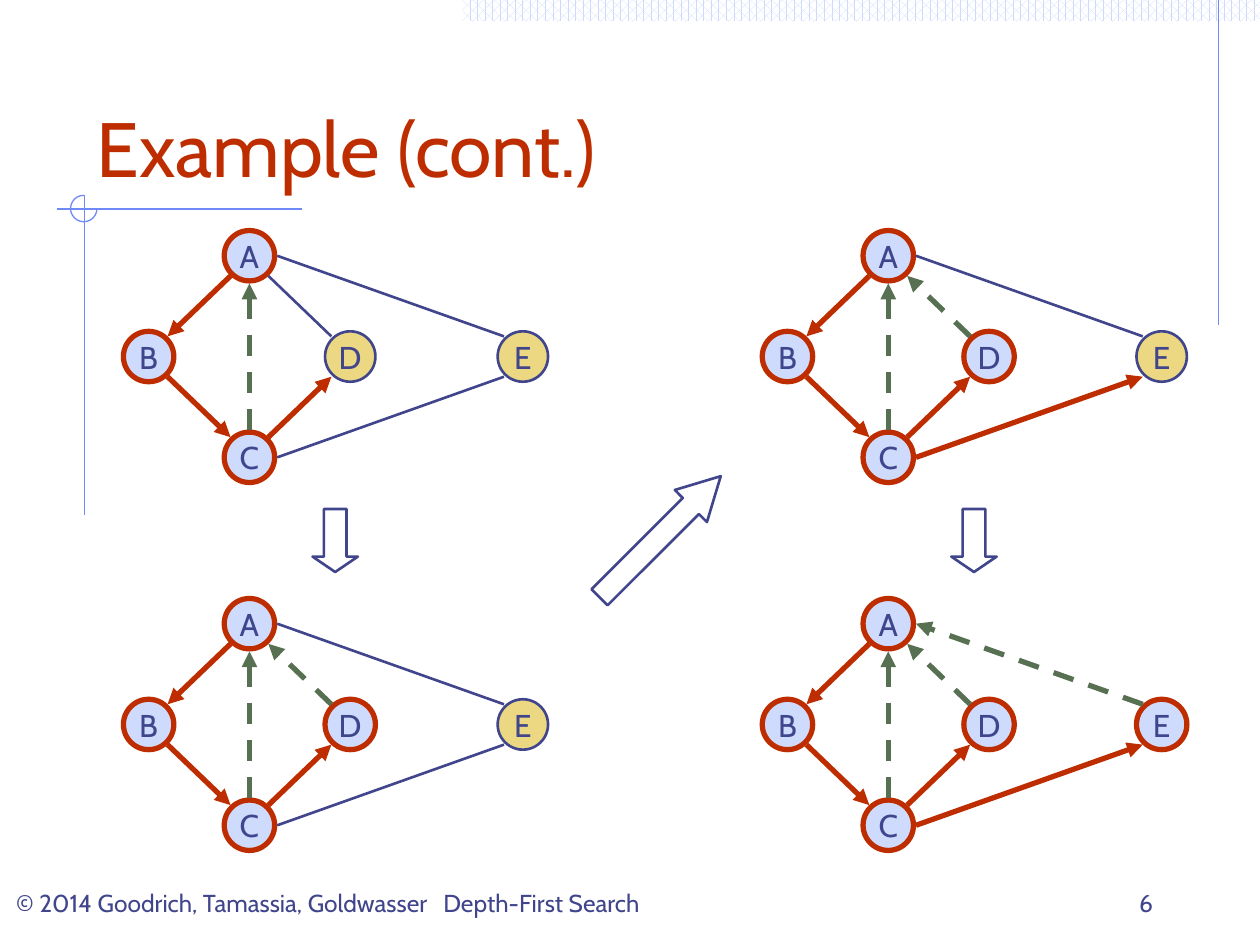
from lxml import etree
from pptx import Presentation
from pptx.dml.color import RGBColor
from pptx.enum.dml import MSO_LINE, MSO_PATTERN
from pptx.enum.shapes import MSO_CONNECTOR, MSO_SHAPE
from pptx.enum.text import MSO_ANCHOR, PP_ALIGN
from pptx.oxml.ns import qn
from pptx.util import Inches, Pt

FONT = "Cabin"
RED = RGBColor(0xBE, 0x2D, 0x00)
NAVY = RGBColor(0x40, 0x45, 0x8C)
GREEN = RGBColor(0x57, 0x70, 0x52)
YELLOW = RGBColor(0xEC, 0xD8, 0x82)
PALE = RGBColor(0xCF, 0xDB, 0xFD)
BLUE = RGBColor(0x6F, 0x89, 0xF7)
WHITE = RGBColor(0xFF, 0xFF, 0xFF)

LEFT, CENTER, RIGHT = PP_ALIGN.LEFT, PP_ALIGN.CENTER, PP_ALIGN.RIGHT
BOTTOM, MIDDLE, TOP = MSO_ANCHOR.BOTTOM, MSO_ANCHOR.MIDDLE, MSO_ANCHOR.TOP
STRAIGHT = MSO_CONNECTOR.STRAIGHT

TEXTS = [
    ("© 2014 Goodrich, Tamassia, Goldwasser", (0.03, 7, 3.72, 0.34), 14, NAVY, LEFT, TOP, True),
    ("Depth-First Search", (3.42, 6.83, 3.17, 0.5), 14, NAVY, LEFT, BOTTOM, True),
    ("6", (7.17, 6.83, 2.08, 0.5), 14, NAVY, RIGHT, BOTTOM, True),
    ("Example (cont.)", (0.67, 0.33, 8.5, 1.25), 44, RED, LEFT, BOTTOM, True),
]
RULES = [(9.67, 0, 9.67, 2.58), (2.4, 1.66, 0.45, 1.66), (0.67, 1.55, 0.67, 4.09)]

NODE_SIZE = 0.4
NODES = {"A": (0, 0), "B": (-0.8, 0.8), "C": (0, 1.6), "D": (0.8, 0.8), "E": (2.17, 0.8)}
DX, DY, GAP = 0.15, 0.16, 0.22
EDGES = {
    "AB": ((-DX, DY), (DX, -DY)),
    "BC": ((DX, DY), (-DX, -DY)),
    "CD": ((DX, -DY), (-DX, DY)),
    "DA": ((-DX, -DY), (DX, DY)),
    "CA": ((0, -GAP), (0, GAP)),
    "CE": ((GAP, 0), (-DX, DY)),
    "EA": ((-DX, -DY), (GAP, 0)),
}
EDGE_STYLES = {"plain": (NAVY, 1.5), "tree": (RED, 3), "back": (GREEN, 3)}
TREE, BACK = {"AB", "BC", "CD"}, {"CA"}
GRAPHS = [
    ((1.98, 2.03), "DE", TREE, BACK),
    ((1.98, 4.95), "E", TREE, BACK | {"DA"}),
    ((7.05, 2.03), "E", TREE | {"CE"}, BACK | {"DA"}),
    ((7.05, 4.95), "", TREE | {"CE"}, BACK | {"DA", "EA"}),
]
BLOCK_ARROWS = [
    ((2.41, 4.11, 0.5, 0.36), 90, 0.34),
    ((7.48, 4.11, 0.5, 0.36), 90, 0.34),
    ((4.56, 4.08, 1.36, 0.36), 315, 0.93),
]


def set_text(sp, text, size, color, align, anchor, wrap):
    tf = sp.text_frame
    tf.text = text
    tf.word_wrap = wrap
    tf.vertical_anchor = anchor
    p = tf.paragraphs[0]
    p.alignment = align
    font = p.runs[0].font
    font.name, font.size, font.color.rgb = FONT, Pt(size), color


def add_shape(s, kind, box, color, width):
    sp = s.shapes.add_shape(kind, *map(Inches, box))
    sp.shadow.inherit = False
    sp.fill.background()
    sp.line.color.rgb = color
    sp.line.width = Pt(width)
    return sp


def add_line(s, points, color, width):
    line = s.shapes.add_connector(STRAIGHT, *map(Inches, points))
    line.line.color.rgb = color
    line.line.width = Pt(width)
    etree.SubElement(line._element.spPr, qn("a:effectLst"))
    return line


def add_backdrop(s):
    band = add_shape(s, MSO_SHAPE.RECTANGLE, (3.67, 0, 6.33, 0.17), PALE, 0.75)
    band.line.fill.background()
    band.fill.patterned()
    band.fill.pattern = MSO_PATTERN.PERCENT_60
    band.fill.fore_color.rgb = PALE
    band.fill.back_color.rgb = WHITE
    for points in RULES:
        add_line(s, points, BLUE, 0.75)
    arc = add_shape(s, MSO_SHAPE.ARC, (0.56, 1.55, 0.21, 0.21), BLUE, 0.75)
    arc.adjustments[0] = 0
    arc.adjustments[1] = 162


def add_graph(s, origin, unexplored, tree, back):
    centers = {n: (origin[0] + x, origin[1] + y) for n, (x, y) in NODES.items()}
    for name, (x, y) in centers.items():
        box = (x - NODE_SIZE / 2, y - NODE_SIZE / 2, NODE_SIZE, NODE_SIZE)
        fresh = name in unexplored
        node = add_shape(s, MSO_SHAPE.OVAL, box, *((NAVY, 1.5) if fresh else (RED, 3)))
        node.fill.solid()
        node.fill.fore_color.rgb = YELLOW if fresh else PALE
        set_text(node, name, 18, NAVY, CENTER, MIDDLE, False)
    for edge, offsets in EDGES.items():
        kind = "tree" if edge in tree else "back" if edge in back else "plain"
        points = [c + d for n, off in zip(edge, offsets) for c, d in zip(centers[n], off)]
        line = add_line(s, points, *EDGE_STYLES[kind])
        if kind == "back":
            line.line.dash_style = MSO_LINE.DASH
        if kind != "plain":
            etree.SubElement(line.line._get_or_add_ln(), qn("a:tailEnd"), type="triangle")


def main():
    prs = Presentation()
    prs.slide_width, prs.slide_height = Inches(10), Inches(7.5)
    s = prs.slides.add_slide(prs.slide_layouts[6])
    add_backdrop(s)
    for text, box, *style in TEXTS:
        set_text(s.shapes.add_textbox(*map(Inches, box)), text, *style)
    for graph in GRAPHS:
        add_graph(s, *graph)
    for box, angle, head in BLOCK_ARROWS:
        arrow = add_shape(s, MSO_SHAPE.RIGHT_ARROW, box, NAVY, 1.5)
        arrow.rotation = angle
        arrow.adjustments[1] = head
    prs.save("out.pptx")


if __name__ == "__main__":
    main()
